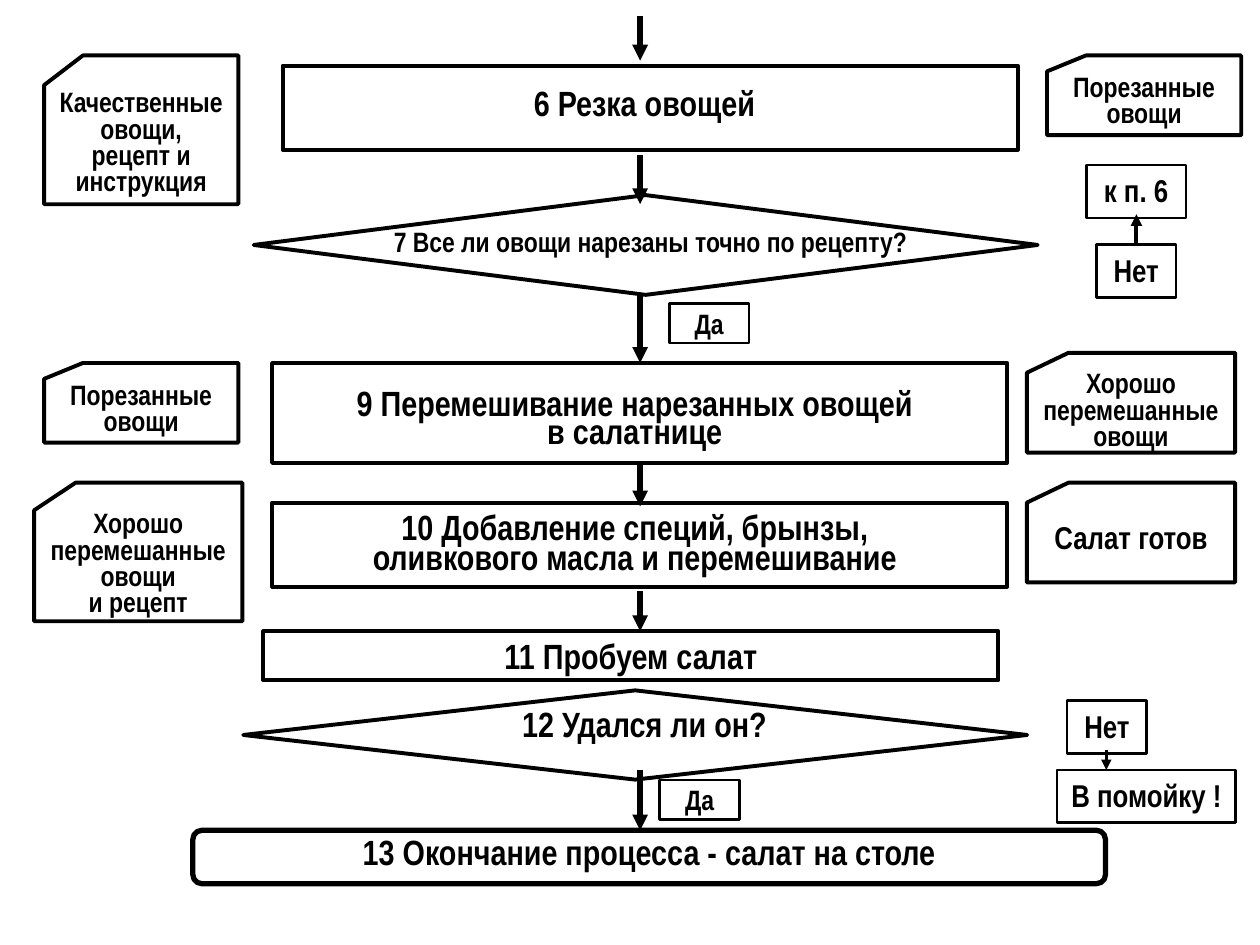
"""Build the salad-making flowchart slide."""
import dataclasses
import itertools
import typing

import pptx
import pptx.dml.color
import pptx.enum.shapes
import pptx.enum.text
import pptx.oxml
import pptx.oxml.ns
import pptx.util

Pt = pptx.util.Pt
Kind = pptx.enum.shapes.MSO_SHAPE
Anchor = pptx.enum.text.MSO_ANCHOR
Lead = typing.Union[float, pptx.util.Length, None]


@dataclasses.dataclass(frozen=True)
class Theme:
    font: str = "Arial Narrow"
    ink: pptx.dml.color.RGBColor = pptx.dml.color.RGBColor(0, 0, 0)
    paper: pptx.dml.color.RGBColor = pptx.dml.color.RGBColor(255, 255, 255)
    small: float = 16
    mid: float = 18
    large: float = 20
    thin: float = 1.5
    norm: float = 2.25
    thick: float = 3


THEME = Theme()


class Box(typing.NamedTuple):
    kind: typing.Any
    left: float
    top: float
    width: float
    height: float
    text: str = ""
    size: float = THEME.large
    leads: typing.Tuple[Lead, ...] = (None,)
    anchor: typing.Any = Anchor.MIDDLE
    line: float = THEME.norm
    solid: bool = False


class Arrow(typing.NamedTuple):
    x: float
    start: float
    end: float
    line: float = THEME.thick


def label(left: float, top: float, width: float, height: float, text: str, **form) -> Box:
    return Box(None, left, top, width, height, text, **form)


def card(left: float, top: float, width: float, height: float, text: str,
         size: float = THEME.small) -> Box:
    return Box(Kind.FLOWCHART_CARD, left, top, width, height, text, size, (Pt(15),))


def step(left: float, top: float, height: float, text: str = "") -> Box:
    return Box(Kind.FLOWCHART_PROCESS, left, top, 420, height, text)


def test(left: float, top: float, height: float) -> Box:
    return Box(Kind.DIAMOND, left, top, 448, height)


def yes(left: float, top: float) -> Box:
    return Box(Kind.RECTANGLE, left, top, 45.5, 22.5, "Да", THEME.small,
               line=THEME.thin, solid=True)


def note(left: float, top: float, width: float, text: str) -> Box:
    return Box(Kind.RECTANGLE, left, top, width, 30.2, text, THEME.mid,
               anchor=Anchor.TOP, line=THEME.thin, solid=True)


BOXES = [
    Box(Kind.ROUNDED_RECTANGLE, 110.2, 474.5, 521.5, 30.5,
        "13 Окончание процесса - салат на столе", leads=(0.8,),
        anchor=Anchor.TOP, line=THEME.thick, solid=True),
    step(161.5, 37.5, 48),
    label(167, 43.2, 402.5, 31.7, "6 Резка овощей", anchor=Anchor.TOP),
    test(145, 111.5, 57),
    label(184.5, 128, 374.5, 23, "7 Все ли овощи нарезаны точно по рецепту?",
          size=THEME.small, leads=(Pt(16),)),
    yes(382.5, 173.5),
    note(626.5, 139.7, 45.5, "Нет"),
    note(620.7, 94.3, 57, "к п. 6"),
    step(155.5, 207.5, 57),
    label(161.5, 214.5, 402.5, 47.5, "9 Перемешивание нарезанных овощей\nв салатнице",
          leads=(None, Pt(16)), anchor=Anchor.TOP),
    step(155.5, 287.2, 48),
    label(161.5, 292.3, 402.5, 41,
          "10 Добавление специй, брынзы,\nоливкового масла и перемешивание",
          leads=(Pt(17),), anchor=Anchor.TOP),
    test(139, 394.5, 51),
    label(269.3, 406, 198, 23, "12 Удался ли он?", leads=(Pt(16),)),
    yes(377, 445.7),
    card(25.2, 31.7, 111, 85, "Качественные\vовощи,\nрецепт и\nинструкция"),
    card(598.3, 31.7, 111, 45.5, "Порезанные\nовощи"),
    card(25.2, 207.4, 111, 45.5, "Порезанные\nовощи"),
    card(586.8, 201.6, 119, 57, "Хорошо перемешанные овощи"),
    card(19.5, 275.8, 119, 79.2, "Хорошо перемешанные овощи\nи рецепт"),
    card(586.8, 275.8, 119, 57, "Салат готов", THEME.mid),
    note(609.8, 400.3, 45.5, "Нет"),
    note(604, 440, 102.2, "В помойку !"),
    step(150.5, 360.7, 28.1, "11 Пробуем салат"),
]

MAIN = [(9.4, 34.6), (88.6, 116.6), (167.8, 207.4), (264.2, 289.4),
        (337.7, 360.7), (440, 474.5)]
ARROWS = [Arrow(365.8, *span) for span in MAIN] + [
    Arrow(649.4, 139.7, 122.4, THEME.norm),
    Arrow(632.2, 428.4, 440, THEME.thin),
]


def write(frame, text: str, *, size: float, leads: typing.Sequence[Lead], anchor) -> None:
    frame.word_wrap = True
    frame.vertical_anchor = anchor
    frame.text = text
    for para, lead in zip(frame.paragraphs, itertools.cycle(leads)):
        para.alignment = pptx.enum.text.PP_ALIGN.CENTER
        para.line_spacing = lead
        for run in para.runs:
            run.font.name = THEME.font
            run.font.size = Pt(size)
            run.font.bold = True
            run.font.color.rgb = THEME.ink


def draw_box(shapes, box: Box) -> None:
    area = [Pt(side) for side in box[1:5]]
    if box.kind is None:
        shape = shapes.add_textbox(*area)
        shape.text_frame.auto_size = pptx.enum.text.MSO_AUTO_SIZE.SHAPE_TO_FIT_TEXT
    else:
        shape = shapes.add_shape(box.kind, *area)
        shape.shadow.inherit = False
        shape.line.color.rgb = THEME.ink
        shape.line.width = Pt(box.line)
        if box.solid:
            shape.fill.solid()
            shape.fill.fore_color.rgb = THEME.paper
        else:
            shape.fill.background()
    if box.text:
        write(shape.text_frame, box.text, size=box.size, leads=box.leads, anchor=box.anchor)


def draw_arrow(shapes, arrow: Arrow) -> None:
    x = Pt(arrow.x)
    link = shapes.add_connector(pptx.enum.shapes.MSO_CONNECTOR.STRAIGHT,
                                x, Pt(arrow.start), x, Pt(arrow.end))
    link.line.color.rgb = THEME.ink
    link.line.width = Pt(arrow.line)
    space = pptx.oxml.ns.nsdecls("a")
    link.line._get_or_add_ln().append(
        pptx.oxml.parse_xml(f'<a:tailEnd {space} type="triangle"/>'))
    link._element.spPr.append(pptx.oxml.parse_xml(f"<a:effectLst {space}/>"))


def main() -> None:
    deck = pptx.Presentation()
    deck.slide_width, deck.slide_height = Pt(720), Pt(540)
    shapes = deck.slides.add_slide(deck.slide_layouts[6]).shapes
    for box in BOXES:
        draw_box(shapes, box)
    for arrow in ARROWS:
        draw_arrow(shapes, arrow)
    deck.save("out.pptx")


if __name__ == "__main__":
    main()
